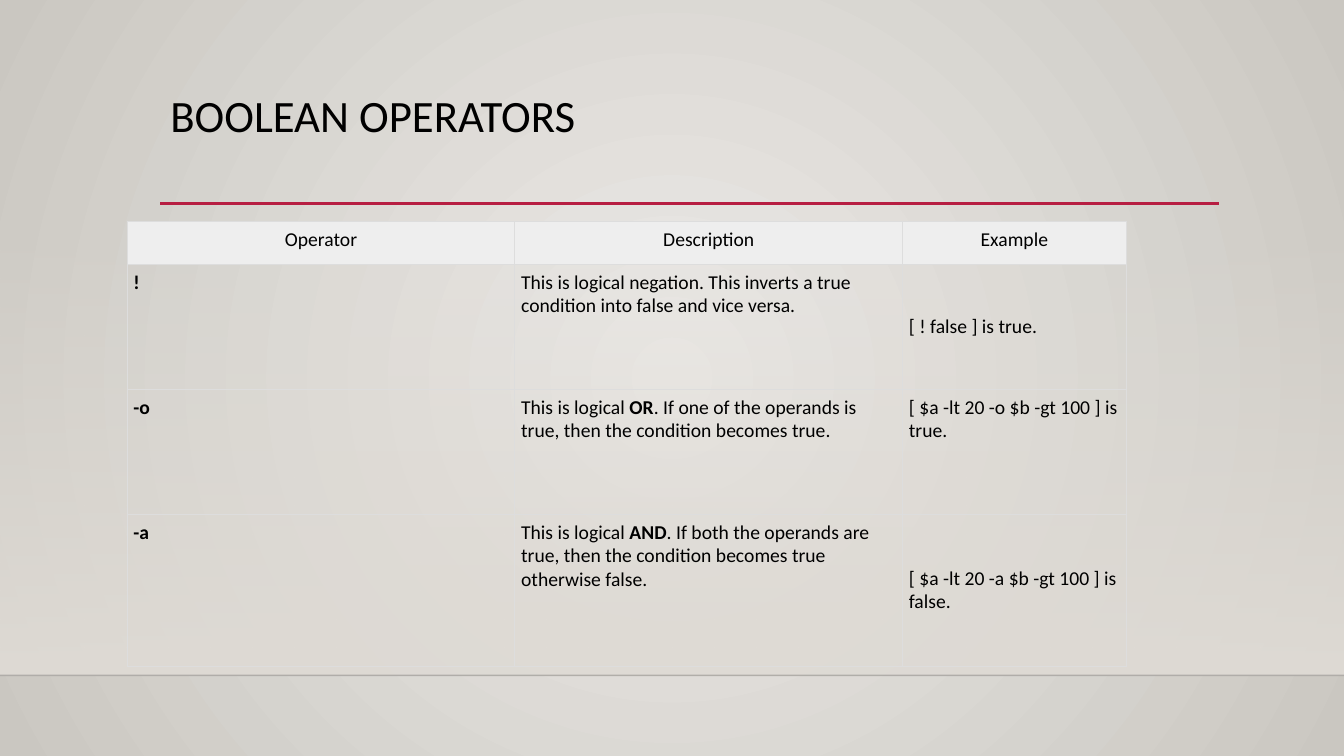
from lxml import etree
from pptx import Presentation
from pptx import util as u
from pptx.dml.color import RGBColor
from pptx.enum import shapes, text
from pptx.oxml import ns

BLACK = RGBColor(0x00, 0x00, 0x00)
EDGE = RGBColor(0x00, 0x00, 0x01)
RED = RGBColor(0xB7, 0x1E, 0x42)
LIGHT = RGBColor(0xEC, 0xEA, 0xE7)
DARK = RGBColor(0xCA, 0xC7, 0xC1)
WALL = RGBColor(0xDF, 0xDB, 0xD5)
HEAD = RGBColor(0xEE, 0xEE, 0xEE)
GRID = RGBColor(0xDD, 0xDD, 0xDD)

WIDE, HIGH = 960, 540
FLOOR = 482.4
COLS = (277, 277, 159.7)
ROWS = (30.3, 89.3, 89.3, 108.7)

TABLE = (
    ("Operator", "Description", "Example"),
    ("**!**", "This is logical negation. This inverts a true condition "
     "into false and vice versa.", "[ ! false ] is true."),
    ("**-o**", "This is logical\u00a0**OR**. If one of the operands is true, "
     "then the condition becomes true.", "[ $a -lt 20 -o $b -gt 100 ] is true."),
    ("**-a**", "This is logical\u00a0**AND**. If both the operands are true, "
     "then the condition becomes true otherwise false.",
     "[ $a -lt 20 -a $b -gt 100 ] is false."),
)
MIDDLE = {(1, 2), (3, 2)}


def add(node, tag, **attrs):
    """Append a DrawingML child with the given attributes."""
    return etree.SubElement(node, ns.qn(tag), **attrs)


def fade(node, alpha):
    """Set the opacity, in percent, of every colour below a node."""
    for tint in node.iter(ns.qn("a:srgbClr")):
        add(tint, "a:alpha", val=str(alpha * 1000))


def blend(fill, first, last):
    """Turn a fill into a two-stop gradient and return its stops."""
    fill.gradient()
    stops = fill.gradient_stops
    for stop, tint, place in zip(stops, (first, last), (0, 1)):
        stop.color.rgb = tint
        stop.position = place
    return stops


def write(frame, words, size=14, font="Calibri", color=BLACK, align=None, space=1):
    """Write words in a text frame; pairs of ** switch bold."""
    par = frame.paragraphs[0]
    par.alignment = align or text.PP_ALIGN.LEFT
    par.line_spacing = space
    for i, part in enumerate(words.split("**")):
        if part:
            run = par.add_run()
            run.text = part
            run.font.size, run.font.name = u.Pt(size), font
            run.font.bold = i % 2 == 1
            run.font.color.rgb = color


class Deck:
    """Holds the style and the current slide."""

    pad = 4.5
    rule = 0.75

    def __init__(self, file):
        """Size the deck and add a title slide."""
        file.slide_width, file.slide_height = u.Pt(WIDE), u.Pt(HIGH)
        self.slide = file.slides.add_slide(file.slide_layouts[5])

    def back(self):
        """Draw the round background gradient."""
        fill = self.slide.background.fill
        blend(fill, LIGHT, DARK)
        grad = next(self.slide.element.iter(ns.qn("a:gradFill")))
        grad.remove(grad.find(ns.qn("a:lin")))
        way = add(grad, "a:path", path="circle")
        add(way, "a:fillToRect", l="50000", t="50000", r="50000", b="50000")

    def wall(self, x, y, w, h):
        """Draw a panel that fades in downwards."""
        box = self.slide.shapes.add_shape(
            shapes.MSO_SHAPE.RECTANGLE, u.Pt(x), u.Pt(y), u.Pt(w), u.Pt(h))
        box.shadow.inherit = False
        box.line.fill.background()
        blend(box.fill, WALL, WALL)
        box.fill.gradient_angle = 270
        fade(next(box.element.iter(ns.qn("a:gs"))), 0)

    def line(self, x, y, end, color, width, alpha=100):
        """Draw a level line from x to end."""
        bar = self.slide.shapes.add_connector(
            shapes.MSO_CONNECTOR.STRAIGHT, u.Pt(x), u.Pt(y), u.Pt(end), u.Pt(y))
        bar.line.color.rgb, bar.line.width = color, u.Pt(width)
        if alpha < 100:
            fade(bar.element.spPr, alpha)
        add(bar.element.spPr, "a:effectLst")

    def title(self, words, x, y, w, h):
        """Place and fill the title placeholder."""
        box = self.slide.shapes.title
        box.left, box.top, box.width, box.height = map(u.Pt, (x, y, w, h))
        frame = box.text_frame
        frame.word_wrap = True
        frame.auto_size = text.MSO_AUTO_SIZE.NONE
        frame.vertical_anchor = text.MSO_ANCHOR.TOP
        write(frame, words, size=32, space=0.9)

    def cell(self, cell, words, head, middle):
        """Format and fill one table cell."""
        cell.margin_left = cell.margin_right = u.Pt(self.pad)
        cell.margin_top = cell.margin_bottom = u.Pt(self.pad)
        anchor = text.MSO_ANCHOR
        cell.vertical_anchor = anchor.MIDDLE if middle else anchor.TOP
        props = cell._tc.get_or_add_tcPr()
        for side in "LRTB":
            edge = add(props, "a:ln" + side, w=str(u.Pt(self.rule)))
            add(add(edge, "a:solidFill"), "a:srgbClr", val=str(GRID))
        if head:
            cell.fill.solid()
            cell.fill.fore_color.rgb = HEAD
        else:
            cell.fill.background()
        write(cell.text_frame, words, align=text.PP_ALIGN.CENTER if head else None)

    def table(self, data, x, y, cols, rows):
        """Draw a table with a shaded head row."""
        grid = self.slide.shapes.add_table(
            len(rows), len(cols), u.Pt(x), u.Pt(y),
            u.Pt(sum(cols)), u.Pt(sum(rows))).table
        grid.first_row = grid.horz_banding = False
        for col, width in zip(grid.columns, cols):
            col.width = u.Pt(width)
        for r, (row, height) in enumerate(zip(grid.rows, rows)):
            row.height = u.Pt(height)
            for c, words in enumerate(data[r]):
                self.cell(grid.cell(r, c), words, r == 0, (r, c) in MIDDLE)


def main():
    """Build the slide and save it."""
    file = Presentation()
    deck = Deck(file)
    deck.back()
    deck.wall(0, 159, WIDE, FLOOR - 159)
    deck.line(0, FLOOR, WIDE, EDGE, 1, alpha=20)
    deck.line(114.5, 145.4, 871, RED, 2.5)
    deck.title("BOOLEAN OPERATORS", 114.5, 63.4, 756, 82.8)
    deck.table(TABLE, 90.8, 158.4, COLS, ROWS)
    file.save("out.pptx")


main()
